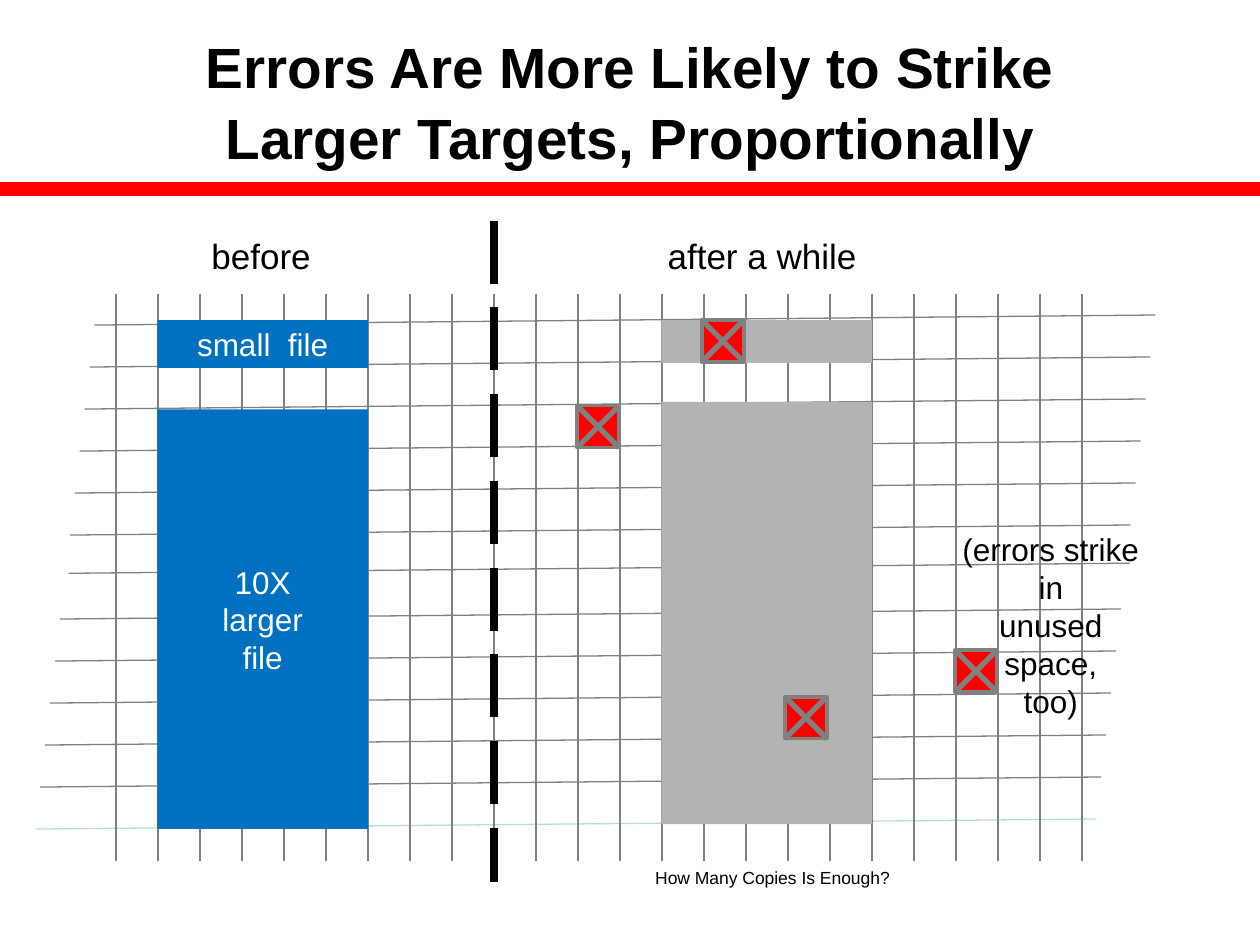
from dataclasses import dataclass
from typing import Optional

import pptx
import pptx.dml.color
import pptx.enum.dml
import pptx.enum.shapes
import pptx.enum.text
import pptx.oxml.ns
import pptx.util
from lxml import etree

Inches = pptx.util.Inches
Pt = pptx.util.Pt
RGBColor = pptx.dml.color.RGBColor
Align = pptx.enum.text.PP_ALIGN
Anchor = pptx.enum.text.MSO_ANCHOR
AutoSize = pptx.enum.text.MSO_AUTO_SIZE
Dash = pptx.enum.dml.MSO_LINE

BLACK = RGBColor(0x00, 0x00, 0x00)
WHITE = RGBColor(0xFF, 0xFF, 0xFF)
RED = RGBColor(0xFF, 0x00, 0x00)
BLUE = RGBColor(0x00, 0x70, 0xC0)
GRAY = RGBColor(0x80, 0x80, 0x80)
LIGHT_GRAY = RGBColor(0xB3, 0xB3, 0xB3)
PALE_TEAL = RGBColor(0xB6, 0xDC, 0xDF)

CELL = 1 / 3
ROWS = 13
COLUMNS = 24
UNEVEN_ROW = 6


@dataclass
class Label:
    text: str
    left: float
    top: float
    width: float
    height: float
    size: float
    align: Align = Align.CENTER
    bold: bool = False
    wrap: bool = True
    anchor: Anchor = Anchor.TOP
    auto_size: AutoSize = AutoSize.NONE
    spacing: float = 1.0


@dataclass
class Block:
    left: float
    top: float
    width: float
    height: float
    fill: RGBColor
    text: str = ""
    outline: Optional[RGBColor] = None


LABELS = [
    Label("before", 1.58, 1.81, 1, 0.44, 20, Align.LEFT, wrap=False),
    Label("after a while", 5.2, 1.81, 1.71, 0.44, 20, Align.LEFT, wrap=False),
    Label("(errors strike in\vunused space,\vtoo)", 7.46, 4.16, 1.76, 1.01, 18,
          auto_size=AutoSize.SHAPE_TO_FIT_TEXT),
    Label("How Many Copies Is Enough?", 3.42, 6.83, 5.42, 0.52, 10),
]
TITLE = Label("Errors Are More Likely to Strike\vLarger Targets, Proportionally",
              0.5, 0.17, 9, 1.25, 32.4, bold=True, anchor=Anchor.MIDDLE, spacing=1.04)
FILES = [
    Block(1.25, 2.54, 1.67, 0.38, BLUE, "small  file"),
    Block(1.25, 3.25, 1.67, 3.33, BLUE, "10X\vlarger\vfile"),
    Block(5.25, 2.54, 1.67, 0.34, LIGHT_GRAY),
    Block(5.25, 3.19, 1.67, 3.35, LIGHT_GRAY),
]
ERRORS = [(7.58, 5.16), (6.23, 5.53), (5.57, 2.54), (4.58, 3.22)]


def write_text(frame, text: str, size: float, color: RGBColor,
               align: Align, bold: bool = False, spacing: float = 1.0) -> None:
    para = frame.paragraphs[0]
    para.text = text
    para.alignment = align
    para.line_spacing = spacing
    para.font.color.rgb = color
    for name, value in {"name": "Arial", "size": Pt(size), "bold": bold}.items():
        setattr(para.font, name, value)


def add_label(page, label: Label) -> None:
    box = page.shapes.add_textbox(Inches(label.left), Inches(label.top),
                                  Inches(label.width), Inches(label.height))
    frame = box.text_frame
    settings = {"word_wrap": label.wrap, "auto_size": label.auto_size,
                "vertical_anchor": label.anchor}
    for name, value in settings.items():
        setattr(frame, name, value)
    write_text(frame, label.text, label.size, BLACK, label.align,
               label.bold, label.spacing)


def add_line(page, start: tuple[float, float], end: tuple[float, float],
             color: RGBColor, width: float, dash: Optional[Dash] = None) -> None:
    line = page.shapes.add_connector(
        pptx.enum.shapes.MSO_CONNECTOR.STRAIGHT,
        *(Inches(value) for value in (*start, *end)))
    line.line.color.rgb = color
    line.line.width = Pt(width)
    if dash is not None:
        line.line.dash_style = dash
    properties = line._element.spPr
    etree.SubElement(properties, pptx.oxml.ns.qn("a:effectLst"))


def add_block(page, block: Block) -> None:
    shape = page.shapes.add_shape(
        pptx.enum.shapes.MSO_SHAPE.RECTANGLE, Inches(block.left),
        Inches(block.top), Inches(block.width), Inches(block.height))
    shape.shadow.inherit = False
    shape.fill.solid()
    shape.fill.fore_color.rgb = block.fill
    if block.outline is None:
        shape.line.fill.background()
    else:
        shape.line.color.rgb = block.outline
        shape.line.width = Pt(2)
    if block.text:
        shape.text_frame.vertical_anchor = Anchor.MIDDLE
        write_text(shape.text_frame, block.text, 18, WHITE, Align.CENTER)


def add_grid(page) -> None:
    """Draw slightly tilted rows, each shifted left, and upright columns."""
    for row in range(ROWS):
        nudge = 0.03 if row == UNEVEN_ROW else 0
        left = 0.75 - 0.47 * row / (ROWS - 1) + nudge
        top = 2.58 + row * CELL - nudge
        color = PALE_TEAL if row == ROWS - 1 else GRAY
        add_line(page, (left, top), (left + 8.42, top - 0.08), color, 0.75)
    for column in range(COLUMNS):
        left = 0.92 + column * CELL
        add_line(page, (left, 2.33), (left, 6.83), GRAY, 0.75)


def add_error(page, left: float, top: float) -> None:
    """Draw a red cell crossed out with two diagonals."""
    right, bottom = left + CELL, top + CELL
    add_block(page, Block(left, top, CELL, CELL, RED, outline=GRAY))
    add_line(page, (right, top), (left, bottom), GRAY, 3)
    add_line(page, (left, top), (right, bottom), GRAY, 3)


def main() -> None:
    deck = pptx.Presentation()
    deck.slide_width = Inches(10)
    deck.slide_height = Inches(7.5)
    page = deck.slides.add_slide(deck.slide_layouts[6])

    add_label(page, TITLE)
    add_grid(page)
    for block in FILES:
        add_block(page, block)
    for left, top in ERRORS:
        add_error(page, left, top)
    add_line(page, (3.92, 1.75), (3.92, 7), BLACK, 4.5, Dash.LONG_DASH)
    add_line(page, (0, 1.5), (10, 1.5), RED, 7.5)
    for label in LABELS:
        add_label(page, label)

    deck.save("out.pptx")


if __name__ == "__main__":
    main()
